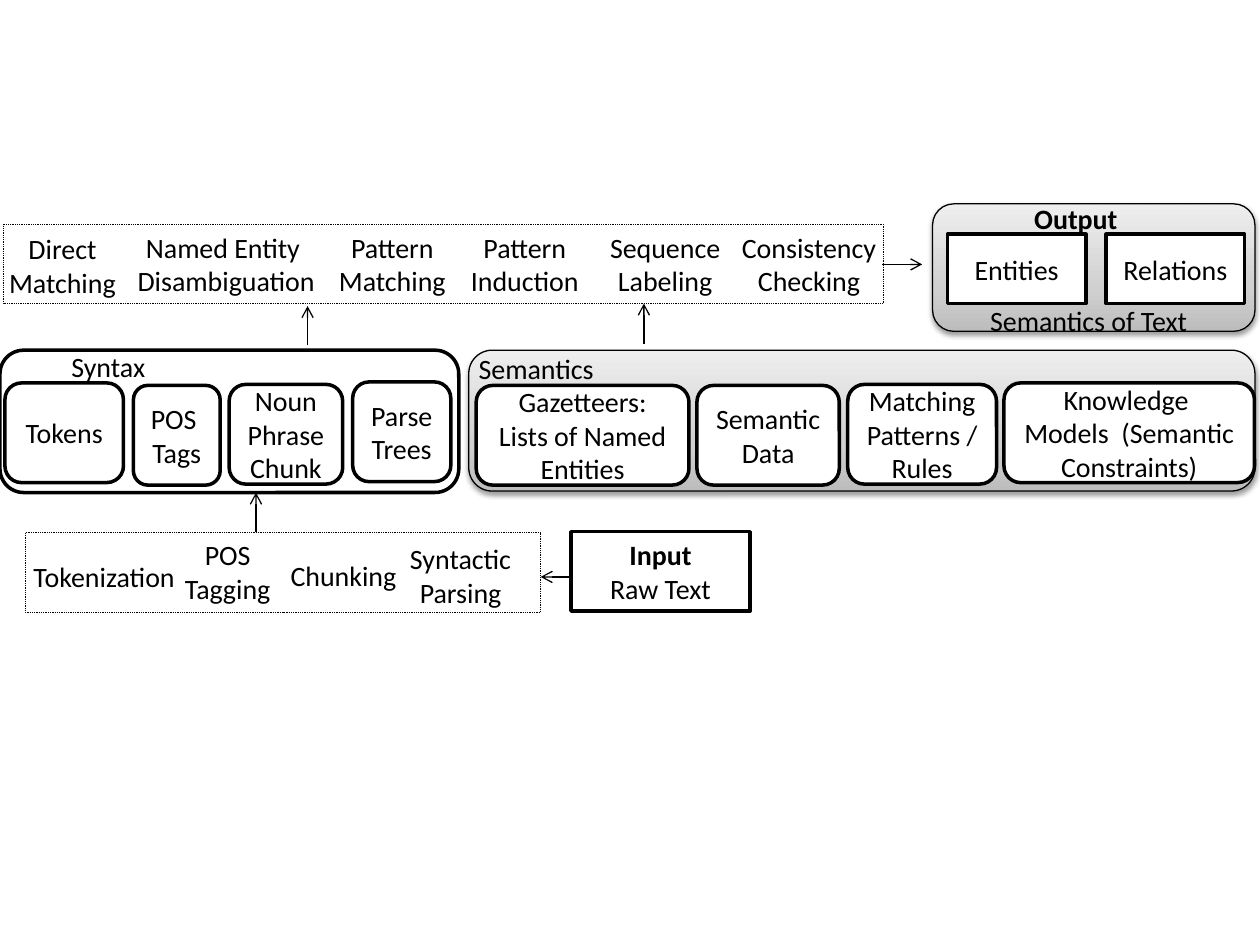
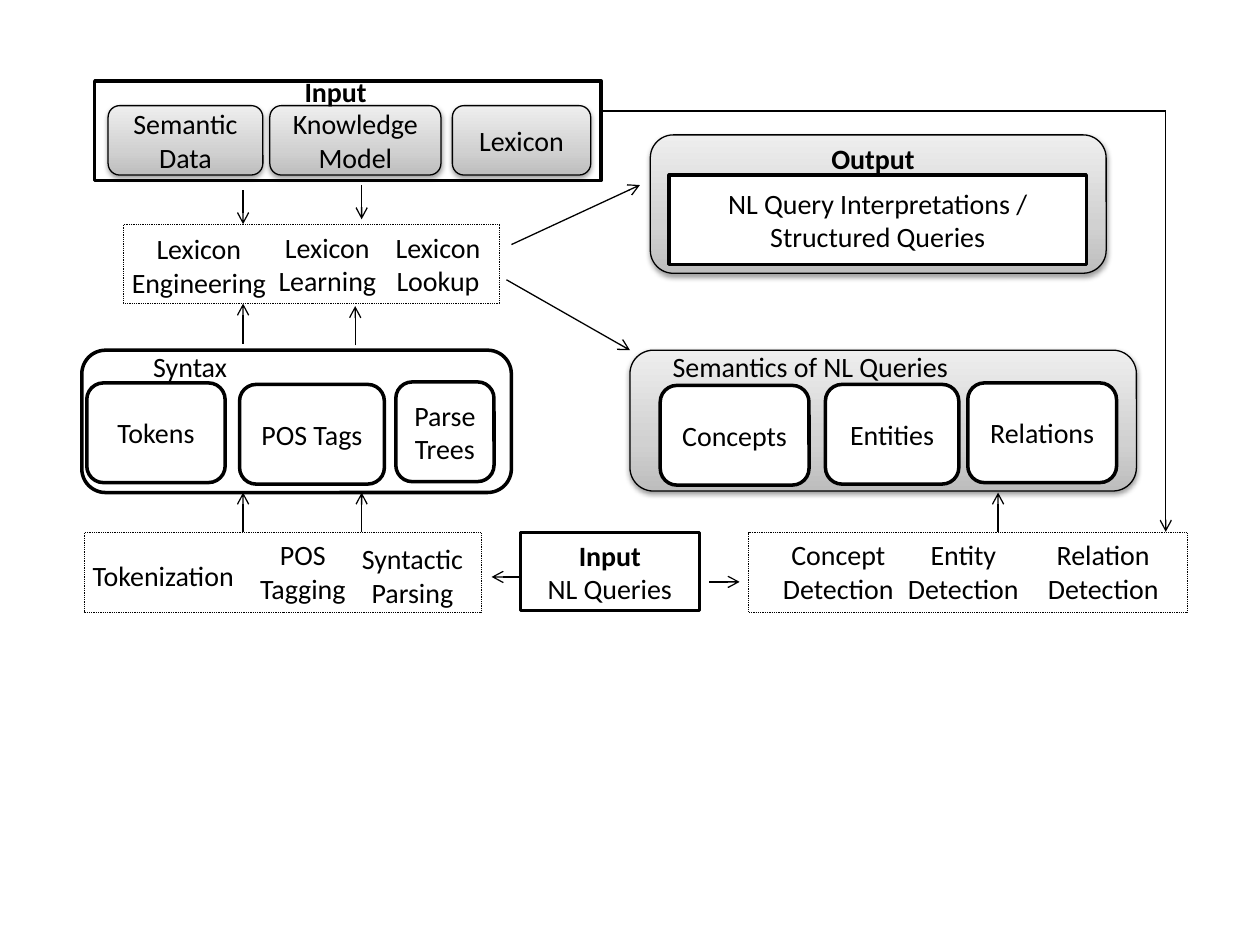
from dataclasses import dataclass
from typing import NamedTuple

from pptx import Presentation
from pptx.dml.color import RGBColor
from pptx.enum.dml import MSO_LINE
from pptx.enum.shapes import MSO_CONNECTOR, MSO_SHAPE
from pptx.enum.text import MSO_ANCHOR, MSO_AUTO_SIZE, PP_ALIGN
from pptx.oxml import parse_xml
from pptx.oxml.ns import nsdecls, qn
from pptx.util import Cm, Pt


@dataclass(frozen=True)
class Theme:
    font: str = "Calibri"
    size: float = 16
    ink: str = "000000"
    paper: str = "FFFFFF"
    shades: tuple = ((0, "BDBDBD"), (35, "D1D1D1"), (100, "EEEEEE"))
    thin: float = 0.75


@dataclass(frozen=True)
class Style:
    geometry: MSO_SHAPE
    weight: float
    dotted: bool = False
    shaded: bool = False


class Box(NamedTuple):
    style: Style
    x: float
    y: float
    w: float
    h: float
    text: str = ""
    bold_lines: int = 0


class Item(NamedTuple):
    x: float
    w: float
    text: str
    dy: float = 0


class Caption(NamedTuple):
    x: float
    y: float
    w: float
    text: str
    bold_lines: int = 0


class Arrow(NamedTuple):
    x1: float
    y1: float
    x2: float
    y2: float
    head: bool = True


THEME = Theme()
FRAME = Style(MSO_SHAPE.RECTANGLE, 2)
CELL = Style(MSO_SHAPE.ROUNDED_RECTANGLE, 2)
BAND = Style(MSO_SHAPE.RECTANGLE, 0.5, dotted=True)
PANEL = Style(MSO_SHAPE.ROUNDED_RECTANGLE, THEME.thin, shaded=True)

TOP_Y, PANEL_Y, CELL_Y, BOTTOM_Y = 4.52, 7.06, 7.75, 10.74
LABEL_BOTTOM_Y, CAPTION_Y = 10.72, 6.93
BAND_H, SYNTAX_H, SEMANTICS_H, CELL_H = 1.6, 2.87, 2.84, 2.01
TILE_H = 1.4


def rgb(value: str) -> RGBColor:
    return RGBColor.from_string(value)


def write(tf, text: str, *, align=PP_ALIGN.CENTER, anchor=MSO_ANCHOR.TOP, bold_lines: int = 0) -> None:
    tf.word_wrap = True
    tf.vertical_anchor = anchor
    for i, line in enumerate(text.split("\n")):
        p = tf.add_paragraph() if i else tf.paragraphs[0]
        p.alignment = align
        r = p.add_run()
        r.text = line
        r.font.name, r.font.size = THEME.font, Pt(THEME.size)
        r.font.bold = i < bold_lines
        r.font.color.rgb = rgb(THEME.ink)


def shade(sp) -> None:
    pr = sp.element.spPr
    stops = "".join(
        f'<a:gs pos="{pos * 1000}"><a:srgbClr val="{color}"/></a:gs>'
        for pos, color in THEME.shades
    )
    gradient = parse_xml(
        f'<a:gradFill {nsdecls("a")} rotWithShape="1"><a:gsLst>{stops}</a:gsLst>'
        '<a:lin ang="16200000" scaled="0"/></a:gradFill>'
    )
    pr.replace(pr.find(qn("a:solidFill")), gradient)
    pr.find(qn("a:effectLst")).append(parse_xml(
        f'<a:outerShdw {nsdecls("a")} blurRad="{Pt(3.1)}" dist="{Pt(1.6)}" dir="5400000" '
        f'rotWithShape="0"><a:srgbClr val="{THEME.ink}"><a:alpha val="38000"/></a:srgbClr></a:outerShdw>'
    ))


def add_box(s, box: Box) -> None:
    style = box.style
    sp = s.shapes.add_shape(style.geometry, Cm(box.x), Cm(box.y), Cm(box.w), Cm(box.h))
    sp.shadow.inherit = False
    sp.fill.solid()
    sp.fill.fore_color.rgb = rgb(THEME.paper)
    sp.line.color.rgb = rgb(THEME.ink)
    sp.line.width = Pt(style.weight)
    if style.dotted:
        sp.line.dash_style = MSO_LINE.ROUND_DOT
    if style.shaded:
        shade(sp)
    if box.text:
        write(sp.text_frame, box.text, anchor=MSO_ANCHOR.MIDDLE, bold_lines=box.bold_lines)


def add_row(s, style: Style, y: float, h: float, items: list[Item]) -> None:
    for item in items:
        add_box(s, Box(style, item.x, y + item.dy, item.w, h, item.text))


def add_text(s, x: float, y: float, w: float, text: str, **fmt) -> None:
    h = 0.25 + 0.69 * len(text.split("\n"))
    tf = s.shapes.add_textbox(Cm(x), Cm(y), Cm(w), Cm(h)).text_frame
    write(tf, text, **fmt)
    tf.auto_size = MSO_AUTO_SIZE.SHAPE_TO_FIT_TEXT


def add_labels(s, y: float, items: list[Item]) -> None:
    for item in items:
        add_text(s, item.x, y + item.dy, item.w, item.text)


def add_captions(s, captions: list[Caption]) -> None:
    for c in captions:
        add_text(s, c.x, c.y, c.w, c.text, align=PP_ALIGN.LEFT, bold_lines=c.bold_lines)


def add_arrow(s, arrow: Arrow) -> None:
    ends = [Cm(v) for v in arrow[:4]]
    c = s.shapes.add_connector(MSO_CONNECTOR.STRAIGHT, *ends)
    c.line.color.rgb = rgb(THEME.ink)
    c.line.width = Pt(THEME.thin)
    pr = c.element.spPr
    if arrow.head:
        pr.find(qn("a:ln")).append(parse_xml(f'<a:tailEnd {nsdecls("a")} type="arrow"/>'))
    pr.append(parse_xml(f'<a:effectLst {nsdecls("a")}/>'))


def build_text_extraction(s) -> None:
    for box in [
        Box(CELL, 0, PANEL_Y, 9.25, SYNTAX_H),
        Box(PANEL, 9.45, PANEL_Y, 15.85, SEMANTICS_H),
        Box(PANEL, 18.8, 4.11, 6.5, 2.57),
        Box(BAND, 0.08, TOP_Y, 17.73, BAND_H),
        Box(BAND, 0.51, BOTTOM_Y, 10.39, BAND_H),
        Box(FRAME, 11.51, 10.72, 3.61, BAND_H, "Input\nRaw Text", 1),
    ]:
        add_box(s, box)
    add_row(s, CELL, CELL_Y, CELL_H, [
        Item(0.1, 2.39, "Tokens", -0.03),
        Item(2.69, 1.75, "POS \nTags", 0.02),
        Item(4.62, 2.29, "Noun Phrase Chunk"),
        Item(7.11, 1.98, "Parse \nTrees", -0.05),
        Item(9.6, 4.29, "Gazetteers: Lists of Named Entities", 0.02),
        Item(14.05, 2.87, "Semantic Data", 0.02),
        Item(17.09, 3, "Matching Patterns / Rules"),
        Item(20.24, 5.05, "Knowledge \nModels  (Semantic Constraints)", -0.03),
    ])
    add_row(s, FRAME, 4.72, TILE_H, [Item(19.1, 2.79, "Entities"), Item(22.3, 2.79, "Relations")])
    add_labels(s, TOP_Y, [
        Item(-0.2, 2.92, "Direct\nMatching", 0.03),
        Item(2.16, 4.8, "Named Entity \nDisambiguation"),
        Item(5.51, 4.8, "Pattern\nMatching"),
        Item(8.18, 4.8, "Pattern\nInduction"),
        Item(10.92, 4.98, "Sequence\nLabeling"),
        Item(13.82, 4.98, "Consistency\nChecking"),
    ])
    add_labels(s, LABEL_BOTTOM_Y, [
        Item(-0.3, 4.8, "Tokenization", 0.43),
        Item(2.9, 3.38, "POS\nTagging"),
        Item(4.93, 3.99, "Chunking", 0.41),
        Item(7.29, 3.99, "Syntactic\nParsing", 0.08),
    ])
    add_captions(s, [
        Caption(1.19, CAPTION_Y, 3.3, "Syntax"),
        Caption(9.4, 6.96, 3.3, "Semantics"),
        Caption(19.71, 5.99, 5.79, "Semantics of Text"),
        Caption(20.6, 3.94, 3.3, "Output", 1),
    ])
    for arrow in [
        Arrow(11.51, 11.63, 10.9, 11.63),
        Arrow(5.16, 10.72, 5.16, 9.93),
        Arrow(17.78, 5.33, 18.59, 5.33),
        Arrow(6.2, 6.96, 6.2, 6.17),
        Arrow(12.98, 6.93, 12.98, 6.12),
    ]:
        add_arrow(s, arrow)


def build_query_interpretation(s) -> None:
    for box in [
        Box(FRAME, 1.91, 1.63, 10.21, CELL_H),
        Box(CELL, 1.65, PANEL_Y, 8.66, SYNTAX_H),
        Box(PANEL, 12.7, PANEL_Y, 10.21, SEMANTICS_H),
        Box(PANEL, 13.11, 2.72, 9.19, 2.79),
        Box(BAND, 2.49, TOP_Y, 7.59, BAND_H),
        Box(BAND, 1.7, BOTTOM_Y, 8, BAND_H),
        Box(BAND, 15.09, BOTTOM_Y, 8.84, BAND_H),
        Box(FRAME, 10.49, BOTTOM_Y, 3.61, 1.57, "Input\nNL Queries", 1),
        Box(FRAME, 13.49, 3.53, 8.41, 1.8, "NL Query Interpretations / Structured Queries"),
    ]:
        add_box(s, box)
    add_row(s, PANEL, 2.13, TILE_H, [
        Item(2.18, 3.12, "Semantic Data"),
        Item(5.44, 3.45, "Knowledge Model"),
        Item(9.12, 2.79, "Lexicon"),
    ])
    add_row(s, CELL, CELL_Y, CELL_H, [
        Item(1.75, 2.79, "Tokens", -0.03),
        Item(4.83, 2.92, "POS Tags"),
        Item(7.98, 1.98, "Parse \nTrees", -0.05),
        Item(13.31, 3, "Concepts", 0.02),
        Item(16.64, 2.69, "Entities"),
        Item(19.51, 3, "Relations", -0.03),
    ])
    add_labels(s, TOP_Y, [
        Item(2.31, 3.4, "Lexicon\nEngineering", 0.03),
        Item(4.9, 3.4, "Lexicon\nLearning"),
        Item(7.37, 2.92, "Lexicon\nLookup"),
    ])
    add_labels(s, LABEL_BOTTOM_Y, [
        Item(0.89, 4.8, "Tokenization", 0.41),
        Item(4.11, 3.99, "POS\nTagging"),
        Item(6.32, 3.99, "Syntactic\nParsing", 0.08),
        Item(14.5, 4.8, "Concept\nDetection"),
        Item(17.73, 3.38, "Entity\nDetection"),
        Item(20.55, 3.38, "Relation\nDetection"),
    ])
    add_captions(s, [
        Caption(2.84, CAPTION_Y, 3.3, "Syntax"),
        Caption(13.31, CAPTION_Y, 6.2, "Semantics of NL Queries"),
        Caption(5.89, 1.37, 3.3, "Input", 1),
        Caption(16.51, 2.72, 3.3, "Output", 1),
    ])
    for arrow in [
        Arrow(10.49, 11.63, 9.91, 11.63),
        Arrow(14.3, 11.73, 14.91, 11.73),
        Arrow(4.9, 10.72, 4.9, 9.93),
        Arrow(7.29, 10.72, 7.29, 9.93),
        Arrow(20.12, 10.72, 20.12, 9.93),
        Arrow(4.9, 6.93, 4.9, 6.12),
        Arrow(7.16, 6.96, 7.16, 6.17),
        Arrow(4.9, 3.84, 4.9, 4.52),
        Arrow(7.29, 3.73, 7.29, 4.42),
        Arrow(10.21, 5.64, 12.7, 7.06),
        Arrow(10.31, 4.93, 12.9, 3.73),
        Arrow(12.09, 2.24, 23.5, 2.24, head=False),
        Arrow(23.5, 2.24, 23.5, 10.72),
    ]:
        add_arrow(s, arrow)


prs = Presentation()
prs.slide_width, prs.slide_height = Cm(25.4), Cm(19.05)
for build in (build_text_extraction, build_query_interpretation):
    build(prs.slides.add_slide(prs.slide_layouts[6]))
prs.save("out.pptx")
